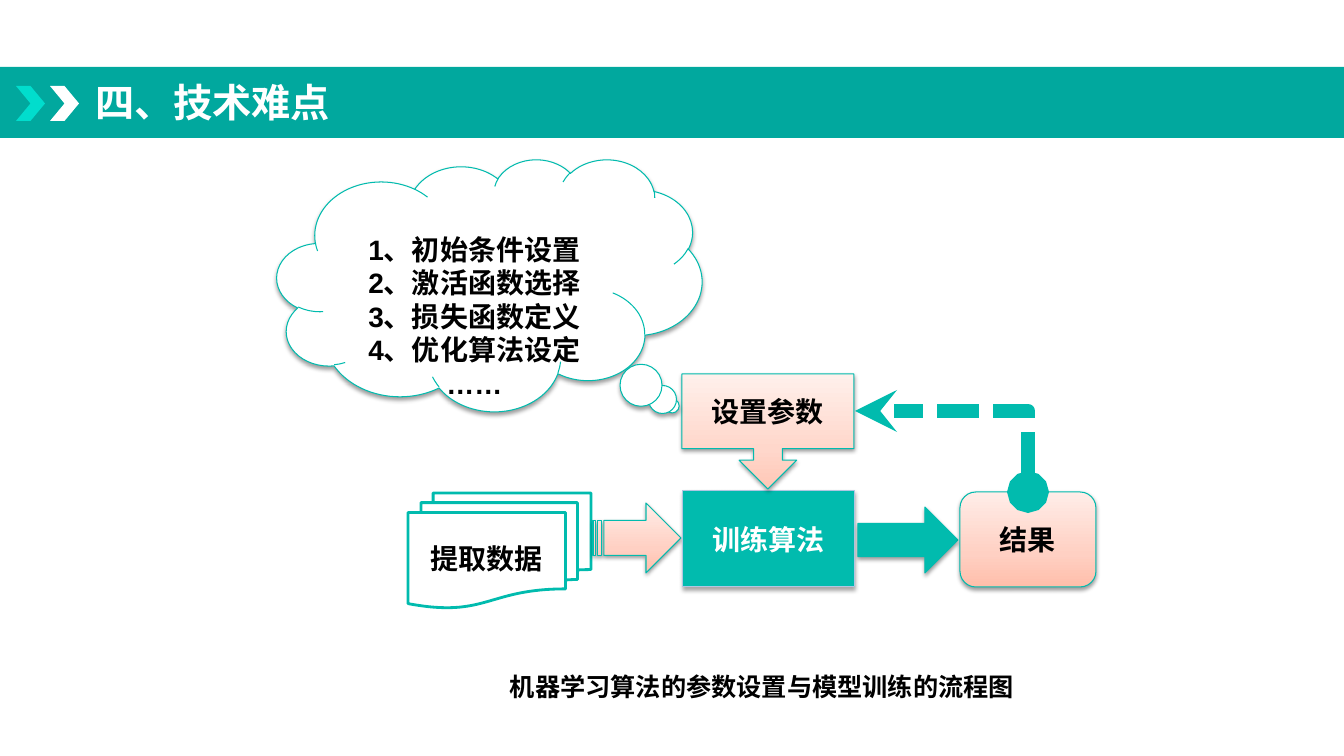
"""Builds the slide on technical difficulties: a training flow chart."""
from dataclasses import dataclass

import pptx
import pptx.dml.color
import pptx.enum.dml
import pptx.enum.shapes
import pptx.enum.text
import pptx.oxml
import pptx.oxml.ns
import pptx.util

SHAPE = pptx.enum.shapes.MSO_SHAPE
ALIGN = pptx.enum.text.PP_ALIGN
ANCHOR = pptx.enum.text.MSO_ANCHOR
EMU_PER_PIXEL = 914400 / 100.8
TITLE_ONLY = 5


@dataclass(frozen=True)
class Theme:
    """Colours, fonts and type sizes of the slide."""
    band: str = "01A89E"
    bright: str = "01DDCD"
    teal: str = "01BBAE"
    pale_blue: str = "B1C6E2"
    white: str = "FFFFFF"
    black: str = "000000"
    peach: tuple = ((0, "FFBEAA"), (35, "FFD0C3"), (100, "FFEDE8"))
    light_peach: tuple = ((0, "FFC7B6"), (35, "FFD7CB"), (100, "FFF0EB"))
    latin: str = "Arial"
    chinese: str = "Noto Sans CJK SC"
    title_size: int = 28
    label_size: int = 20
    caption_size: int = 18
    thin: float = 0.75
    outline: float = 2
    feedback: float = 10


THEME = Theme()


def px(value):
    """Turn pixels into EMU."""
    return round(value * EMU_PER_PIXEL)


def rgb(colour):
    """Make a colour from its hex code."""
    return pptx.dml.color.RGBColor.from_string(colour)


def xml(tag, attributes="", children=""):
    """Make a DrawingML element."""
    namespace = pptx.oxml.ns.nsdecls("a")
    return pptx.oxml.parse_xml(f"<a:{tag} {namespace} {attributes}>{children}</a:{tag}>")


def find(parent, tag):
    """Find a DrawingML child element."""
    return parent.find(pptx.oxml.ns.qn(f"a:{tag}"))


def fill_gradient(shape, stops):
    """Fill a shape with a gradient that rises from the bottom edge."""
    shape.fill.gradient()
    shape.fill.gradient_angle = 90
    stop_list = find(find(shape.element.spPr, "gradFill"), "gsLst")
    for stop in list(stop_list):
        stop_list.remove(stop)
    for position, colour in stops:
        stop_list.append(xml("gs", f'pos="{position * 1000}"', f'<a:srgbClr val="{colour}"/>'))


def add_shadow(shape, opacity):
    """Give a shape a soft shadow below it."""
    find(shape.element.spPr, "effectLst").append(xml(
        "outerShdw", 'blurRad="39400" dist="20300" dir="5400000" rotWithShape="0"',
        f'<a:srgbClr val="{THEME.black}"><a:alpha val="{opacity * 1000}"/></a:srgbClr>'))


def write_text(shape, lines, size, colour=THEME.black, font=THEME.latin,
               align=ALIGN.CENTER, anchor=ANCHOR.MIDDLE):
    """Write bold lines into a shape, one paragraph each."""
    frame = shape.text_frame
    frame.text = "\n".join(lines)
    frame.vertical_anchor = anchor
    for paragraph in frame.paragraphs:
        paragraph.alignment = align
        paragraph.font.name = font
        paragraph.font.size = pptx.util.Pt(size)
        paragraph.font.bold = True
        paragraph.font.color.rgb = rgb(colour)
    return frame


def add_box(slide, kind, box, fill, line=None, width=THEME.thin, shadow=0):
    """Add a preset shape; fill is a colour or a tuple of gradient stops."""
    shape = slide.shapes.add_shape(kind, *map(px, box))
    shape.shadow.inherit = False
    if isinstance(fill, str):
        shape.fill.solid()
        shape.fill.fore_color.rgb = rgb(fill)
    else:
        fill_gradient(shape, fill)
    if line:
        shape.line.color.rgb = rgb(line)
        shape.line.width = pptx.util.Pt(width)
    else:
        shape.line.fill.background()
    if shadow:
        add_shadow(shape, shadow)
    return shape


def add_header(slide, text):
    """Draw the title band with its chevrons and put the title on it."""
    add_box(slide, SHAPE.RECTANGLE, (0, 67, 1344, 71), THEME.band)
    for left, colour in ((16, THEME.bright), (50, THEME.white)):
        add_box(slide, SHAPE.CHEVRON, (left, 86, 29, 35), colour)
    title = slide.shapes.title
    title.left, title.top, title.width, title.height = map(px, (85, 66, 644, 77))
    frame = write_text(title, [text], THEME.title_size, THEME.white, THEME.chinese, ALIGN.LEFT)
    frame.paragraphs[0].line_spacing = 0.9
    title.element.getparent().append(title.element)


def add_feedback(slide):
    """Add the dashed elbow from the result back to the parameters."""
    connector = slide.shapes.add_connector(
        pptx.enum.shapes.MSO_CONNECTOR.ELBOW, px(901), px(538), px(982), px(365))
    properties = connector.element.spPr
    find(properties, "xfrm").set("rot", "16200000")
    find(properties, "prstGeom").set("prst", "bentConnector2")
    connector.line.color.rgb = rgb(THEME.teal)
    connector.line.width = pptx.util.Pt(THEME.feedback)
    connector.line.dash_style = pptx.enum.dml.MSO_LINE.SQUARE_DOT
    line = find(properties, "ln")
    line.append(xml("headEnd", 'type="oval"'))
    line.append(xml("tailEnd", 'type="stealth"'))
    properties.append(xml("effectLst"))


def add_thought_cloud(slide, lines):
    """Add the cloud that lists the choices behind the parameters."""
    cloud = add_box(slide, SHAPE.CLOUD_CALLOUT, (277, 159, 425, 252),
                    THEME.white, THEME.teal, shadow=38)
    cloud.adjustments[0], cloud.adjustments[1] = 0.43, 0.48
    frame = write_text(cloud, lines, THEME.label_size, anchor=ANCHOR.TOP)
    frame.margin_top = px(35)


def add_caption(slide, text):
    """Add the caption below the flow chart."""
    caption = slide.shapes.add_textbox(*map(px, (500, 666, 529, 40)))
    frame = write_text(caption, [text], THEME.caption_size, font=THEME.chinese,
                       align=ALIGN.LEFT, anchor=ANCHOR.TOP)
    frame.word_wrap = False
    frame.auto_size = pptx.enum.text.MSO_AUTO_SIZE.SHAPE_TO_FIT_TEXT


def add_flow(slide):
    """Add the steps of the flow chart and the arrows between them."""
    data = add_box(slide, SHAPE.FLOWCHART_MULTIDOCUMENT, (408, 493, 183, 115),
                   THEME.white, THEME.teal, THEME.outline)
    add_box(slide, SHAPE.STRIPED_RIGHT_ARROW, (593, 503, 88, 70),
            THEME.peach, THEME.teal, shadow=38)
    training = add_box(slide, SHAPE.FLOWCHART_PROCESS, (683, 491, 172, 96),
                       THEME.teal, THEME.pale_blue, shadow=35)
    add_box(slide, SHAPE.RIGHT_ARROW, (858, 507, 100, 66),
            THEME.teal, THEME.teal, shadow=38)
    result = add_box(slide, SHAPE.ROUNDED_RECTANGLE, (960, 492, 136, 95),
                     THEME.peach, THEME.teal, shadow=38)
    parameters = add_box(slide, SHAPE.DOWN_ARROW_CALLOUT, (682, 374, 172, 115),
                         THEME.light_peach, THEME.teal, shadow=38)
    write_text(training, ["训练算法"], THEME.label_size, THEME.white)
    for shape, label in ((data, "提取数据"), (result, "结果"), (parameters, "设置参数")):
        write_text(shape, [label], THEME.label_size)
    add_feedback(slide)


def main():
    """Build and save the presentation."""
    presentation = pptx.Presentation()
    presentation.slide_width, presentation.slide_height = px(1344), px(756)
    slide = presentation.slides.add_slide(presentation.slide_layouts[TITLE_ONLY])
    add_header(slide, "四、技术难点")
    add_flow(slide)
    add_thought_cloud(slide, ["1、初始条件设置", "2、激活函数选择", "3、损失函数定义",
                              "4、优化算法设定", "……"])
    add_caption(slide, "机器学习算法的参数设置与模型训练的流程图")
    presentation.save("out.pptx")


main()
